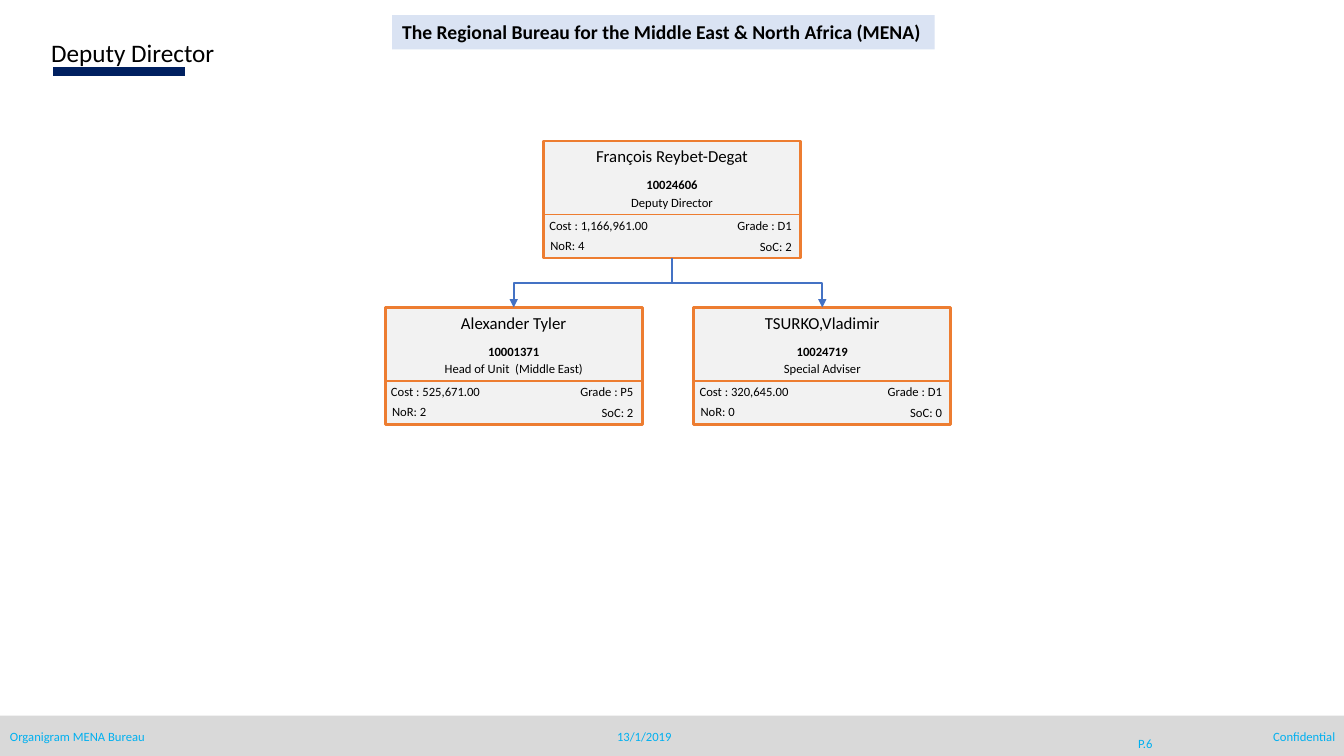
from lxml.etree import SubElement
from pptx import Presentation
from pptx.dml.color import RGBColor
from pptx.enum.shapes import MSO_CONNECTOR, MSO_SHAPE
from pptx.enum.text import MSO_ANCHOR, PP_ALIGN
from pptx.oxml.ns import qn
from pptx.util import Inches, Pt

FONT = "Calibri"
BLACK, NAVY, SKY, BLUE, ORANGE = "000000", "002060", "00B0F0", "4472C4", "ED7D31"
BAND_GREY, CARD_GREY, PALE_BLUE = "D9D9D9", "F2F2F2", "DAE3F3"
LEFT, CENTER, RIGHT = PP_ALIGN.LEFT, PP_ALIGN.CENTER, PP_ALIGN.RIGHT
CARD_W, CARD_H = 2.55, 1.16
DIVIDER_Y = 0.73  # below the top of a card

DEPUTY = (5.39, 1.4, "François Reybet-Degat", "10024606", "Deputy Director",
          "1,166,961.00", "D1", 4, 2)
REPORTS = [
    (3.82, 3.05, "Alexander Tyler", "10001371", "Head of Unit  (Middle East)",
     "525,671.00", "P5", 2, 2),
    (6.88, 3.05, "TSURKO,Vladimir", "10024719", "Special Adviser",
     "320,645.00", "D1", 0, 0),
]


def color(hex_value):
    return RGBColor.from_string(hex_value)


def write(shape, text, size, hex_value, bold=False, align=LEFT,
          anchor=MSO_ANCHOR.TOP, wrap=True):
    frame = shape.text_frame
    frame.word_wrap = wrap
    frame.vertical_anchor = anchor
    paragraph = frame.paragraphs[0]
    paragraph.alignment = align
    run = paragraph.add_run()
    run.text = text
    run.font.name = FONT
    run.font.size = Pt(size)
    run.font.bold = bold
    run.font.color.rgb = color(hex_value)


def add_text(slide, x, y, w, h, text, size=9, hex_value=BLACK, **style):
    box = slide.shapes.add_textbox(Inches(x), Inches(y), Inches(w), Inches(h))
    write(box, text, size, hex_value, **style)


def add_rect(slide, x, y, w, h, fill, border=None):
    rect = slide.shapes.add_shape(
        MSO_SHAPE.RECTANGLE, Inches(x), Inches(y), Inches(w), Inches(h))
    rect.shadow.inherit = False
    rect.fill.solid()
    rect.fill.fore_color.rgb = color(fill)
    if border:
        rect.line.color.rgb = color(border)
        rect.line.width = Pt(2)
    else:
        rect.line.fill.background()
    return rect


def add_line(slide, x1, y1, x2, y2, hex_value, width, kind=MSO_CONNECTOR.STRAIGHT):
    line = slide.shapes.add_connector(
        kind, Inches(x1), Inches(y1), Inches(x2), Inches(y2))
    line.line.color.rgb = color(hex_value)
    line.line.width = Pt(width)
    SubElement(line._element.spPr, qn("a:effectLst"))
    return line


def add_down_arrow(slide, x1, y1, x2, y2):
    """Elbow arrow that leaves downwards, runs sideways and ends downwards."""
    mid_x, mid_y = (x1 + x2) / 2, (y1 + y2) / 2
    side = 1 if x2 > x1 else -1
    half_drop, half_run = (y2 - y1) / 2, abs(x2 - x1) / 2
    # The elbow is laid out sideways, then turned a quarter
    arrow = add_line(slide, mid_x + side * half_drop, mid_y - half_run,
                     mid_x - side * half_drop, mid_y + half_run,
                     BLUE, 1.5, MSO_CONNECTOR.ELBOW)
    quarter_turn = 270 if side > 0 else 90
    arrow._element.spPr.find(qn("a:xfrm")).set("rot", str(quarter_turn * 60000))
    SubElement(arrow.line._get_or_add_ln(), qn("a:tailEnd"), type="triangle")


def add_card(slide, x, y, name, number, role, cost, grade, nor, soc):
    add_rect(slide, x, y, CARD_W, CARD_H, CARD_GREY, ORANGE)
    # Person
    add_text(slide, x, y, CARD_W, 0.3, name, 12, align=CENTER)
    add_text(slide, x, y + 0.31, CARD_W, 0.25, number, bold=True, align=CENTER)
    add_text(slide, x, y + 0.48, CARD_W, 0.25, role, align=CENTER)
    add_line(slide, x, y + DIVIDER_Y, x + CARD_W, y + DIVIDER_Y, ORANGE, 1)
    # Figures
    right_edge = x + CARD_W + 0.01
    add_text(slide, x - 0.04, y + 0.71, 1.23, 0.25, f"Cost : {cost}")
    add_text(slide, right_edge - 1.22, y + 0.71, 1.22, 0.25, f"Grade : {grade}",
             align=RIGHT)
    add_text(slide, x - 0.03, y + 0.91, 0.79, 0.25, f"NoR: {nor}")
    add_text(slide, right_edge - 1.02, y + 0.92, 1.02, 0.25, f"SoC: {soc}",
             align=RIGHT)


def add_header(slide):
    add_line(slide, 0.53, 0.71, 1.84, 0.71, NAVY, 7)
    add_text(slide, 0.41, 0.32, 5.3, 0.41, "Deputy Director", 18)
    banner = add_rect(slide, 3.89, 0.15, 5.38, 0.34, PALE_BLUE)
    write(banner, "The Regional Bureau for the Middle East & North Africa (MENA)",
          14, BLACK, bold=True, wrap=False)


def add_footer(slide):
    add_rect(slide, 0, 7.1, 13.33, 0.41, BAND_GREY)
    add_text(slide, 0, 7.18, 3.08, 0.25, "Organigram MENA Bureau", hex_value=SKY)
    add_text(slide, 5.95, 7.18, 0.88, 0.25, "13/1/2019", hex_value=SKY,
             align=CENTER, anchor=MSO_ANCHOR.MIDDLE)
    add_text(slide, 10.96, 7.18, 0.8, 0.4, "P.6", hex_value=SKY,
             align=CENTER, anchor=MSO_ANCHOR.MIDDLE)
    add_text(slide, 10.26, 7.18, 3.08, 0.25, "Confidential", hex_value=SKY,
             align=RIGHT)


def main():
    deck = Presentation()
    deck.slide_width, deck.slide_height = Inches(13.33), Inches(7.5)
    slide = deck.slides.add_slide(deck.slide_layouts[6])

    add_footer(slide)
    add_header(slide)

    # Organisation chart
    add_card(slide, *DEPUTY)
    deputy_x, deputy_y = DEPUTY[:2]
    for report in REPORTS:
        add_card(slide, *report)
        report_x, report_y = report[:2]
        add_down_arrow(slide, deputy_x + CARD_W / 2, deputy_y + CARD_H,
                       report_x + CARD_W / 2, report_y)

    deck.save("out.pptx")


if __name__ == "__main__":
    main()
